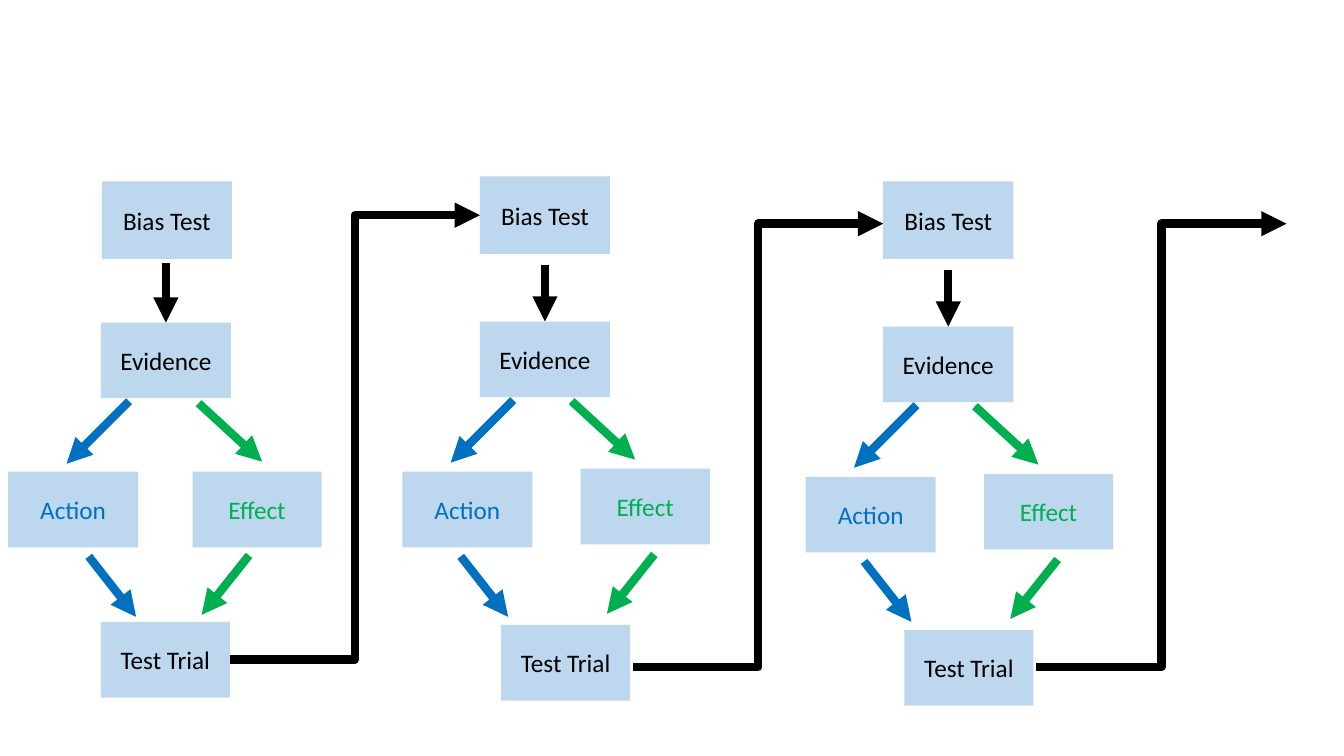
from pptx import Presentation
from pptx.dml.color import RGBColor
from pptx.enum.shapes import MSO_CONNECTOR, MSO_SHAPE
from pptx.enum.text import MSO_ANCHOR, PP_ALIGN
from pptx.oxml.ns import qn
from pptx.util import Inches, Pt
from lxml import etree

BLACK, BLUE, GREEN, PALE = "000000", "0070C0", "00B050", "BDD7EE"

# Label: text colour, width, height
BOXES = {
    "Bias Test": (BLACK, 1.29, 0.77),
    "Evidence": (BLACK, 1.29, 0.75),
    "Action": (BLUE, 1.29, 0.75),
    "Effect": (GREEN, 1.28, 0.75),
    "Test Trial": (BLACK, 1.28, 0.75),
}
# Colour and reach of the four branch arrows
BRANCHES = [(BLUE, -0.62, 0.62), (GREEN, 0.63, 0.58),
            (BLUE, 0.47, 0.6), (GREEN, -0.47, 0.59)]

# Offsets from the corner of a stage's "Bias Test" box
FIRST = {
    "boxes": [(0, 0), (-0.01, 1.4), (-0.93, 2.88), (0.9, 2.88), (-0.01, 4.37)],
    "down": 0.81,
    "branches": [(0.27, 2.18), (0.96, 2.2), (-0.13, 3.72), (1.46, 3.71)],
}
LATER = {
    "boxes": [(0, 0), (0, 1.44), (-0.77, 2.93), (1, 2.9), (0.21, 4.45)],
    "down": 0.88,
    "branches": [(0.33, 2.22), (0.91, 2.23), (-0.19, 3.77), (1.73, 3.75)],
}


def rgb(color):
    return RGBColor.from_string(color)


def add_box(s, x, y, label):
    color, w, h = BOXES[label]
    sp = s.shapes.add_shape(MSO_SHAPE.RECTANGLE, Inches(x), Inches(y),
                            Inches(w), Inches(h))
    sp.shadow.inherit = False
    sp.fill.solid()
    sp.fill.fore_color.rgb = rgb(PALE)
    sp.line.fill.background()
    tf = sp.text_frame
    tf.word_wrap = True
    tf.vertical_anchor = MSO_ANCHOR.MIDDLE
    tf.text = label
    p = tf.paragraphs[0]
    p.alignment = PP_ALIGN.CENTER
    font = p.runs[0].font
    font.name, font.size = "Calibri", Pt(18)
    font.color.rgb = rgb(color)
    return sp


def add_arrow(s, x, y, dx, dy, color, kind=MSO_CONNECTOR.STRAIGHT):
    cxn = s.shapes.add_connector(kind, Inches(x), Inches(y),
                                 Inches(x + dx), Inches(y + dy))
    cxn.line.color.rgb = rgb(color)
    cxn.line.width = Pt(6)
    etree.SubElement(cxn.line._get_or_add_ln(), qn("a:tailEnd"), type="triangle")
    etree.SubElement(cxn._element.spPr, qn("a:effectLst"))
    return cxn


def add_stage(s, x, y, layout):
    """Place one test cycle and return its boxes by label."""
    # Arrows, behind the boxes
    evidence_dx = layout["boxes"][1][0]
    middle = x + evidence_dx + BOXES["Evidence"][1] / 2
    down = add_arrow(s, middle, y + layout["down"], 0, 0.59, BLACK)
    for (dx, dy), (color, w, h) in zip(layout["branches"], BRANCHES):
        add_arrow(s, x + dx, y + dy, w, h, color)

    # Boxes
    boxes = {label: add_box(s, x + dx, y + dy, label)
             for label, (dx, dy) in zip(BOXES, layout["boxes"])}
    down.end_connect(boxes["Evidence"], 0)
    return boxes


def add_links(s, x, y, stages):
    """Lead each stage on to the next with an elbow arrow."""
    links = [add_arrow(s, x + 4 * i, y, 2.48, -4.4, BLACK, MSO_CONNECTOR.ELBOW)
             for i in range(len(stages))]
    links[0].begin_connect(stages[0]["Test Trial"], 3)
    links[0].end_connect(stages[1]["Bias Test"], 1)


def main():
    prs = Presentation()
    prs.slide_width, prs.slide_height = Inches(13.33), Inches(7.5)
    s = prs.slides.add_slide(prs.slide_layouts[6])
    stages = [add_stage(s, 1.01, 1.8, FIRST),
              add_stage(s, 4.76, 1.75, LATER),
              add_stage(s, 8.76, 1.8, LATER)]
    add_links(s, 2.28, 6.62, stages)
    prs.save("out.pptx")


if __name__ == "__main__":
    main()
